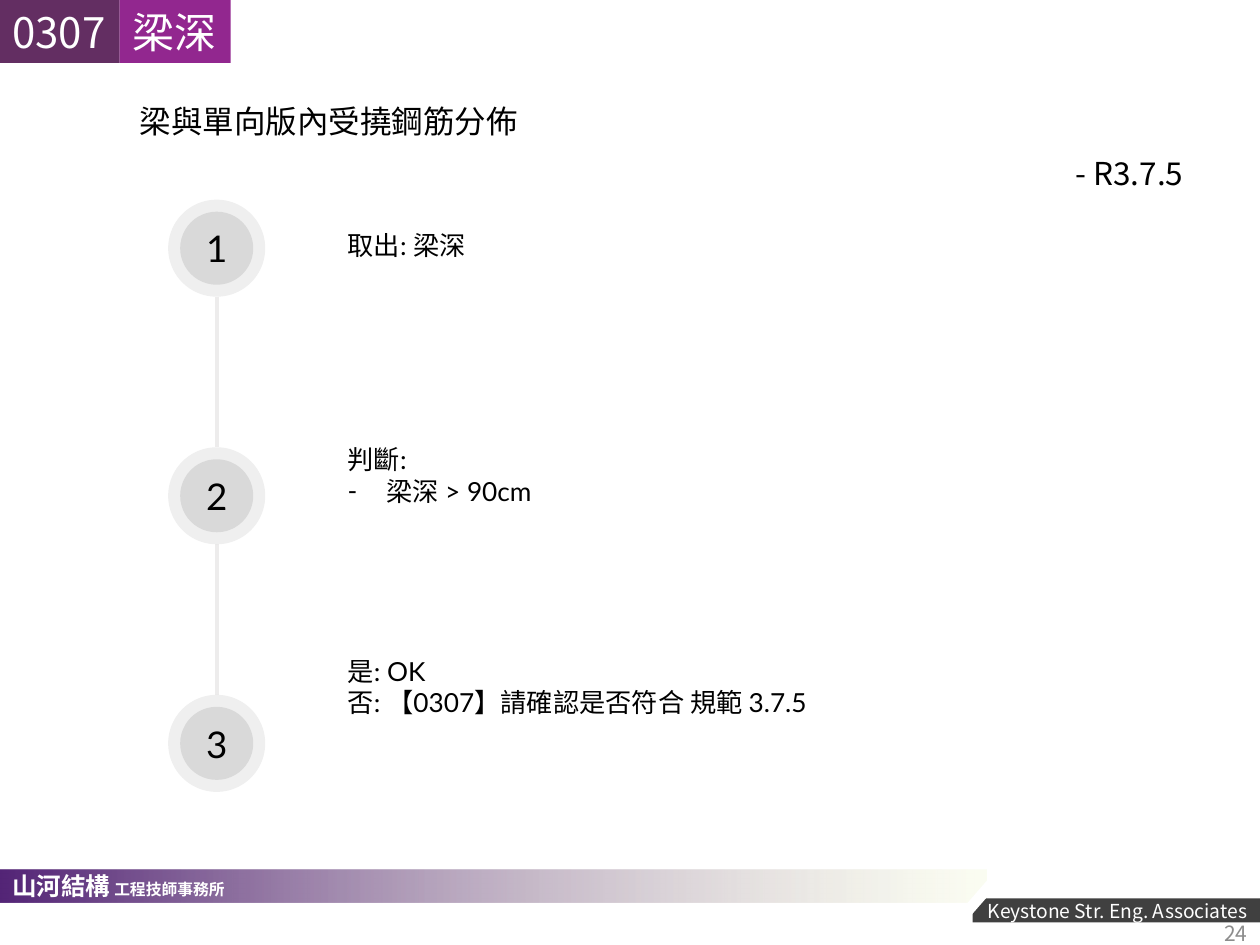
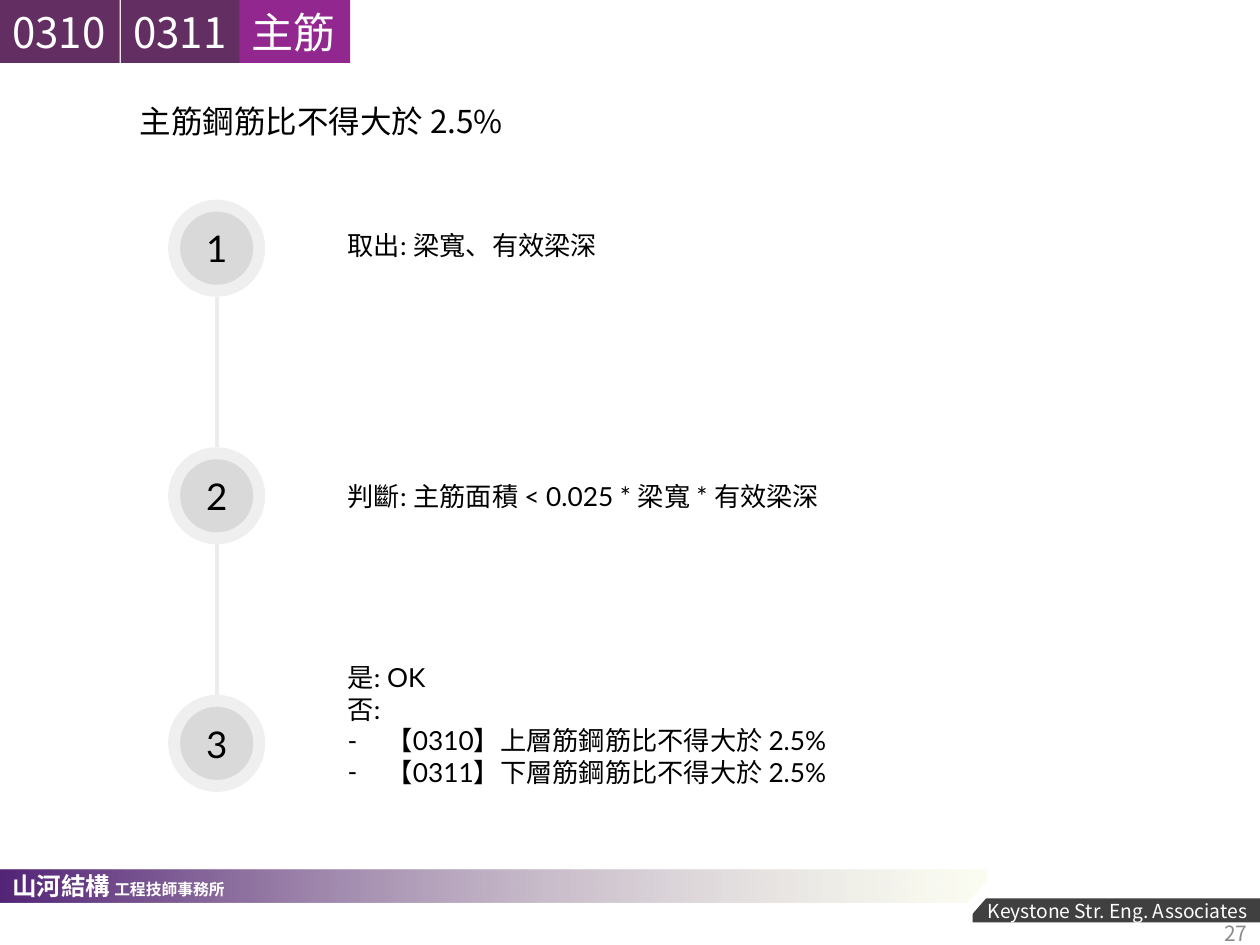
from dataclasses import dataclass
from itertools import pairwise
from typing import Optional

from lxml import etree
from pptx import Presentation
from pptx import util as u
from pptx.dml.color import RGBColor
from pptx.enum import shapes, text
from pptx.oxml.ns import qn

CJK, LATIN = "Noto Sans CJK SC", "Lato"
WHITE, BLACK, GREY = "FFFFFF", "000000", "D9D9D9"
DARK_PURPLE, PURPLE = "632E62", "92278F"
LEFT, CENTER, RIGHT = text.PP_ALIGN.LEFT, text.PP_ALIGN.CENTER, text.PP_ALIGN.RIGHT
TOP, MIDDLE = text.MSO_ANCHOR.TOP, text.MSO_ANCHOR.MIDDLE

# Header tabs: code tabs, then the topic tab, side by side
CODE_WIDTH, TOPIC_WIDTH, TAB_HEIGHT = 0.95, 0.88, 0.5

# Step column: circles on one axis, equally spaced
AXIS_X, FIRST_Y, STEP_GAP = 1.72, 1.97, 1.965
DISC, RING = 0.58, 0.77
STEP_TEXT_X, HANGING = 2.76, 0.31


@dataclass(frozen=True)
class Area:
    left: float
    top: float
    width: float
    height: float


@dataclass(frozen=True)
class Span:
    words: str
    size: float
    color: str = BLACK
    font: str = CJK
    bold: bool = False


@dataclass(frozen=True)
class Line:
    spans: list[Span]
    align: text.PP_ALIGN = LEFT
    bullet: str = ""


@dataclass(frozen=True)
class Frame:
    insets: tuple[float, float, float, float] = (0.1, 0.05, 0.1, 0.05)
    anchor: text.MSO_ANCHOR = TOP
    wrap: bool = True
    grow: bool = False


@dataclass(frozen=True)
class Step:
    top: float
    width: float
    height: float
    lines: list[str]  # a leading "-" marks a bullet


@dataclass(frozen=True)
class CheckPage:
    number: int
    codes: list[str]
    topic: str
    title: str
    steps: list[Step]
    rule: Optional[str] = None


LABEL = Frame(wrap=False, grow=True)
STEP_FRAME = Frame(insets=(0, 0.05, 0.1, 0.05), grow=True)

PAGES = [
    CheckPage(
        24, ["0307"], "梁深", "梁與單向版內受撓鋼筋分佈",
        [
            Step(1.77, 4.99, 0.35, ["取出: 梁深"]),
            Step(3.47, 4.5, 0.61, ["判斷:", "-梁深 > 90cm"]),
            Step(5.15, 6.34, 0.61, ["是: OK", "否: 【0307】請確認是否符合 規範 3.7.5"]),
        ],
        rule="- R3.7.5",
    ),
    CheckPage(
        27, ["0310", "0311"], "主筋", "主筋鋼筋比不得大於 2.5%",
        [
            Step(1.77, 2.63, 0.35, ["取出: 梁寬、有效梁深"]),
            Step(3.76, 4.5, 0.35, ["判斷: 主筋面積 < 0.025 * 梁寬 * 有效梁深"]),
            Step(5.2, 6.86, 1.11, ["是: OK", "否:",
                                   "-【0310】上層筋鋼筋比不得大於 2.5%",
                                   "-【0311】下層筋鋼筋比不得大於 2.5%"]),
        ],
    ),
]


def rgb(value: str) -> RGBColor:
    return RGBColor.from_string(value)


def bounds(area: Area) -> list[u.Length]:
    return [u.Inches(v) for v in (area.left, area.top, area.width, area.height)]


def set_alpha(color_element, percent: int) -> None:
    etree.SubElement(color_element, qn("a:alpha"), val=str(percent * 1000))


def write(box, lines: list[Line], frame: Frame) -> None:
    body = box.text_frame
    body.word_wrap = frame.wrap
    body.auto_size = (text.MSO_AUTO_SIZE.SHAPE_TO_FIT_TEXT if frame.grow
                      else text.MSO_AUTO_SIZE.NONE)
    body.vertical_anchor = frame.anchor
    (body.margin_left, body.margin_top,
     body.margin_right, body.margin_bottom) = map(u.Inches, frame.insets)
    for index, line in enumerate(lines):
        para = body.add_paragraph() if index else body.paragraphs[0]
        para.alignment = line.align
        if line.bullet:
            props = para._p.get_or_add_pPr()
            props.set("marL", str(u.Inches(HANGING)))
            props.set("indent", str(-u.Inches(HANGING)))
            etree.SubElement(props, qn("a:buFont"), typeface=LATIN)
            etree.SubElement(props, qn("a:buChar"), char=line.bullet)
        for span in line.spans:
            run = para.add_run()
            run.text = span.words
            run.font.name = span.font
            run.font.size = u.Pt(span.size)
            run.font.bold = span.bold
            run.font.color.rgb = rgb(span.color)
            etree.SubElement(run._r.get_or_add_rPr(), qn("a:ea"), typeface=CJK)


def add_text(page, area: Area, lines: list[Line], frame: Frame) -> None:
    write(page.shapes.add_textbox(*bounds(area)), lines, frame)


def add_block(page, kind: shapes.MSO_SHAPE, area: Area, color: str):
    block = page.shapes.add_shape(kind, *bounds(area))
    block.shadow.inherit = False
    block.line.fill.background()
    block.fill.solid()
    block.fill.fore_color.rgb = rgb(color)
    return block


def draw_footer(page, number: int) -> None:
    # Fading band
    band = add_block(page, shapes.MSO_SHAPE.RECTANGLE, Area(0, 6.9, 7.83, 0.26), WHITE)
    band.fill.gradient()
    band.fill.gradient_angle = 0
    start, end = band.fill.gradient_stops
    start.color.rgb, start.position = rgb("532476"), 0
    end.color.rgb, end.position = rgb("F5F9DF"), 0.99
    set_alpha(band._element.spPr.findall(".//" + qn("a:srgbClr"))[-1], 40)

    # Firm names and the slanted cut between the bands
    strip = add_block(page, shapes.MSO_SHAPE.RECTANGLE, Area(7.72, 7.13, 2.28, 0.19), "404040")
    write(strip, [Line([Span("Keystone Str. Eng. Associates", 11, WHITE)], RIGHT)],
          Frame(insets=(0, 0, 0.1, 0), anchor=MIDDLE))
    add_text(page, Area(0, 6.86, 4.42, 0.49),
             [Line([Span("山河結構", 14, WHITE, bold=True),
                    Span(" 工程技師事務所", 9, WHITE, bold=True)])], Frame(grow=True))
    cut = add_block(page, shapes.MSO_SHAPE.PARALLELOGRAM, Area(7.51, 6.94, 0.48, 0.42), WHITE)
    cut.adjustments[0] = 0.87

    # Page number
    add_text(page, Area(7.75, 7.21, 2.25, 0.4),
             [Line([Span(str(number), 12, "8C8C8C")], RIGHT)], Frame(anchor=MIDDLE))


def draw_circle(page, center_y: float, size: float, alpha: int = 100):
    area = Area(AXIS_X - size / 2, center_y - size / 2, size, size)
    circle = add_block(page, shapes.MSO_SHAPE.OVAL, area, GREY)
    if alpha < 100:
        set_alpha(circle._element.spPr.find(".//" + qn("a:srgbClr")), alpha)
    return circle


def draw_steps(page, steps: list[Step]) -> None:
    centers = [FIRST_Y + STEP_GAP * index for index in range(len(steps))]
    # Links between neighbouring rings
    for upper, lower in pairwise(centers):
        link = page.shapes.add_connector(
            shapes.MSO_CONNECTOR.STRAIGHT,
            u.Inches(AXIS_X), u.Inches(upper + RING / 2),
            u.Inches(AXIS_X), u.Inches(lower - RING / 2))
        link.line.color.rgb = rgb("EDECEC")
        link.line.width = u.Pt(2.25)
        etree.SubElement(link._element.spPr, qn("a:effectLst"))
    # Numbered circles with their text
    for number, (center_y, step) in enumerate(zip(centers, steps), 1):
        draw_circle(page, center_y, DISC)
        ring = draw_circle(page, center_y, RING, alpha=42)
        write(ring, [Line([Span(str(number), 21, font=LATIN)], CENTER)],
              Frame(insets=(0, 0.05, 0, 0.05), anchor=MIDDLE))
        lines = [Line([Span(words.removeprefix("-"), 15, font=LATIN)],
                      bullet="-" if words.startswith("-") else "")
                 for words in step.lines]
        add_text(page, Area(STEP_TEXT_X, step.top, step.width, step.height),
                 lines, STEP_FRAME)


def draw_tab(page, words: str, left: float, width: float, color: str) -> None:
    block = add_block(page, shapes.MSO_SHAPE.RECTANGLE,
                      Area(left, 0, width, TAB_HEIGHT), color)
    write(block, [Line([Span(words, 24, WHITE)])], LABEL)


def draw_tabs(page, codes: list[str], topic: str) -> None:
    for index, code in enumerate(codes):
        # A hairline gap keeps neighbouring codes apart
        gap = 0.01 if index else 0
        draw_tab(page, code, index * CODE_WIDTH + gap, CODE_WIDTH, DARK_PURPLE)
    draw_tab(page, topic, len(codes) * CODE_WIDTH, TOPIC_WIDTH, PURPLE)


def draw_page(deck, check: CheckPage) -> None:
    page = deck.slides.add_slide(deck.slide_layouts[6])
    draw_footer(page, check.number)
    add_text(page, Area(1.01, 0.76, 3.4, 0.4), [Line([Span(check.title, 18)])],
             Frame(grow=True))
    draw_steps(page, check.steps)
    if check.rule:
        add_text(page, Area(8.42, 1.17, 1.07, 0.4),
                 [Line([Span(check.rule, 18)], RIGHT)], LABEL)
    draw_tabs(page, check.codes, check.topic)


def main() -> None:
    deck = Presentation()
    deck.slide_width, deck.slide_height = u.Inches(10), u.Inches(7.5)
    for check in PAGES:
        draw_page(deck, check)
    deck.save("out.pptx")


if __name__ == "__main__":
    main()
